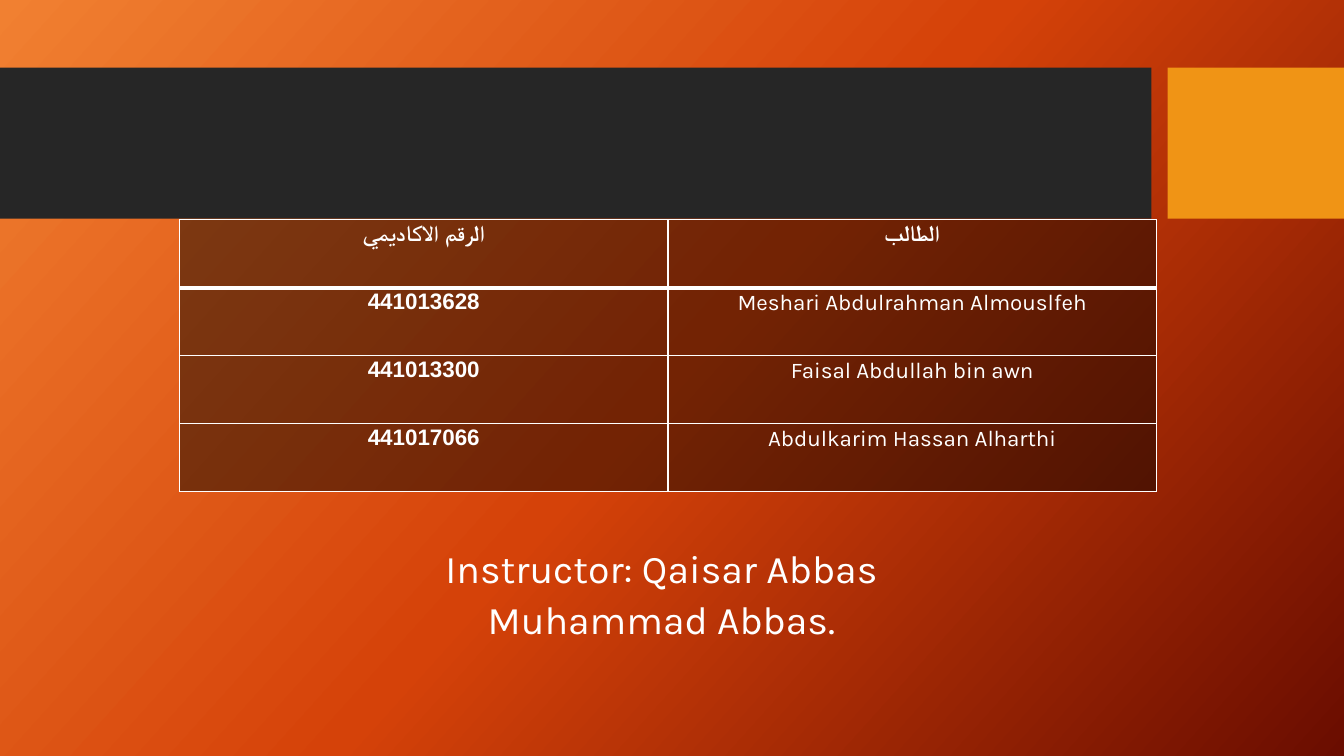
from lxml import etree
from pptx import Presentation
from pptx import util as u
from pptx.dml.color import RGBColor
from pptx.enum import shapes, text
from pptx.oxml import ns

W, H = 13.33, 7.5
WHITE = "FFFFFF"
HEADERS = ["الرقم الاكاديمي", "الطالب"]
STUDENTS = [
    ("441013628", "Meshari Abdulrahman Almouslfeh"),
    ("441013300", "Faisal Abdullah bin awn"),
    ("441017066", "Abdulkarim Hassan Alharthi"),
]


def rgb(value):
    return RGBColor.from_string(value)


def apply(obj, values):
    for name, value in values.items():
        setattr(obj, name, value)


def inches(box):
    return [u.Inches(v) for v in box]


def child(parent, tag, **attrs):
    return etree.SubElement(parent, ns.qn(tag), attrs)


def background(slide, stops, angle):
    fill = slide.background.fill
    fill.gradient()
    fill.gradient_angle = 360 - angle
    gs_list = slide.element.find(".//" + ns.qn("a:gsLst"))
    for gs in list(gs_list):
        gs_list.remove(gs)
    for share, color in stops:
        gs = child(gs_list, "a:gs", pos=str(share * 1000))
        child(gs, "a:srgbClr", val=color)


def banner(slide, box):
    left, top, width, height = box
    gap, tab = 0.16, 1.75
    bar = width - gap - tab
    for x, w, color in [(left, bar, "262626"), (left + bar + gap, tab, "F09415")]:
        sp = slide.shapes.add_shape(
            shapes.MSO_SHAPE.RECTANGLE, *inches((x, top, w, height)))
        sp.shadow.inherit = False
        sp.fill.solid()
        sp.fill.fore_color.rgb = rgb(color)
        sp.line.fill.background()


def write(p, words, size, bold=False):
    apply(p, {"alignment": text.PP_ALIGN.CENTER, "line_spacing": 1.07,
              "space_after": u.Pt(8)})
    r = p.add_run()
    r.text = words
    apply(r.font, {"name": "Karla", "size": u.Pt(size), "bold": bold})
    r.font.color.rgb = rgb(WHITE)
    return r


def border(cell, side, points):
    ln = child(cell._tc.get_or_add_tcPr(), "a:" + side, w=str(u.Pt(points)))
    child(child(ln, "a:solidFill"), "a:srgbClr", val=WHITE)


def style_cell(cell, row):
    apply(cell, {"margin_left": u.Inches(0.07), "margin_right": u.Inches(0.07),
                 "margin_top": 0, "margin_bottom": 0})
    widths = {"lnL": 1, "lnR": 1, "lnT": 3 if row == 1 else 1,
              "lnB": 3 if row == 0 else 1}
    for side, points in widths.items():
        border(cell, side, points)
    cell.fill.solid()
    cell.fill.fore_color.rgb = rgb("000000")
    black = cell._tc.tcPr.find(ns.qn("a:solidFill"))[0]
    child(black, "a:alpha", val="46000")


def student_table(slide, box):
    rows = [HEADERS, *STUDENTS]
    table = slide.shapes.add_table(len(rows), len(HEADERS), *inches(box)).table
    table.horz_banding = False
    for i, row in enumerate(rows):
        for j, words in enumerate(row):
            cell = table.cell(i, j)
            style_cell(cell, i)
            p = cell.text_frame.paragraphs[0]
            r = write(p, words, 16, bold=i == 0 or j == 0)
            if i == 0 or j == 0:
                child(r.font._element, "a:cs", typeface="Arial")
            if i > 0 and j == 0:
                p._p.get_or_add_pPr().set("rtl", "1")


def instructor(slide, box):
    tf = slide.shapes.add_textbox(*inches(box)).text_frame
    apply(tf, {"word_wrap": True, "auto_size": text.MSO_AUTO_SIZE.SHAPE_TO_FIT_TEXT})
    write(tf.paragraphs[0], "Instructor: Qaisar Abbas Muhammad Abbas.", 28)


def main():
    prs = Presentation()
    apply(prs, {"slide_width": u.Inches(W), "slide_height": u.Inches(H)})
    slide = prs.slides.add_slide(prs.slide_layouts[6])
    background(slide, [(0, "F18031"), (50, "D54209"), (100, "6A0D00")], 42)
    banner(slide, (0, 0.67, W, 1.5))
    instructor(slide, (4.07, 5.32, 4.98, 1.08))
    student_table(slide, (1.78, 2.18, 9.69, 2.7))
    prs.save("out.pptx")


if __name__ == "__main__":
    main()
